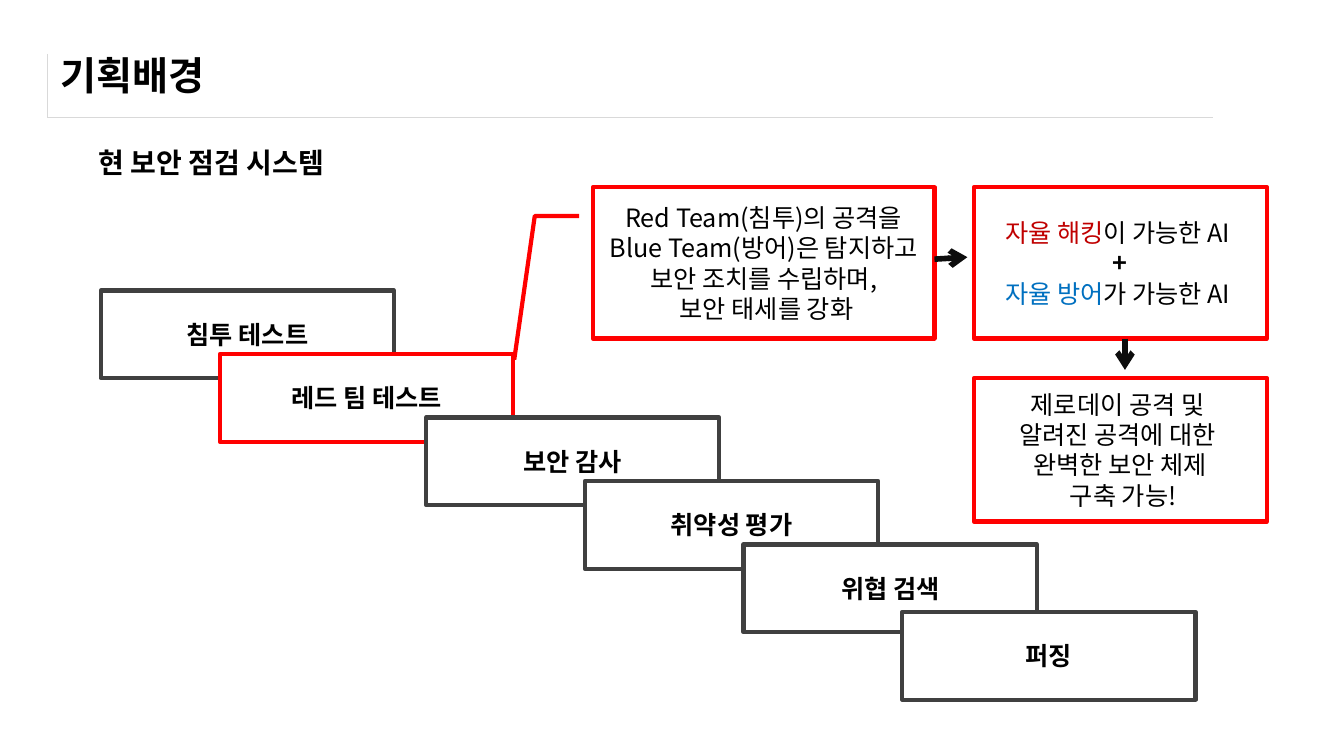
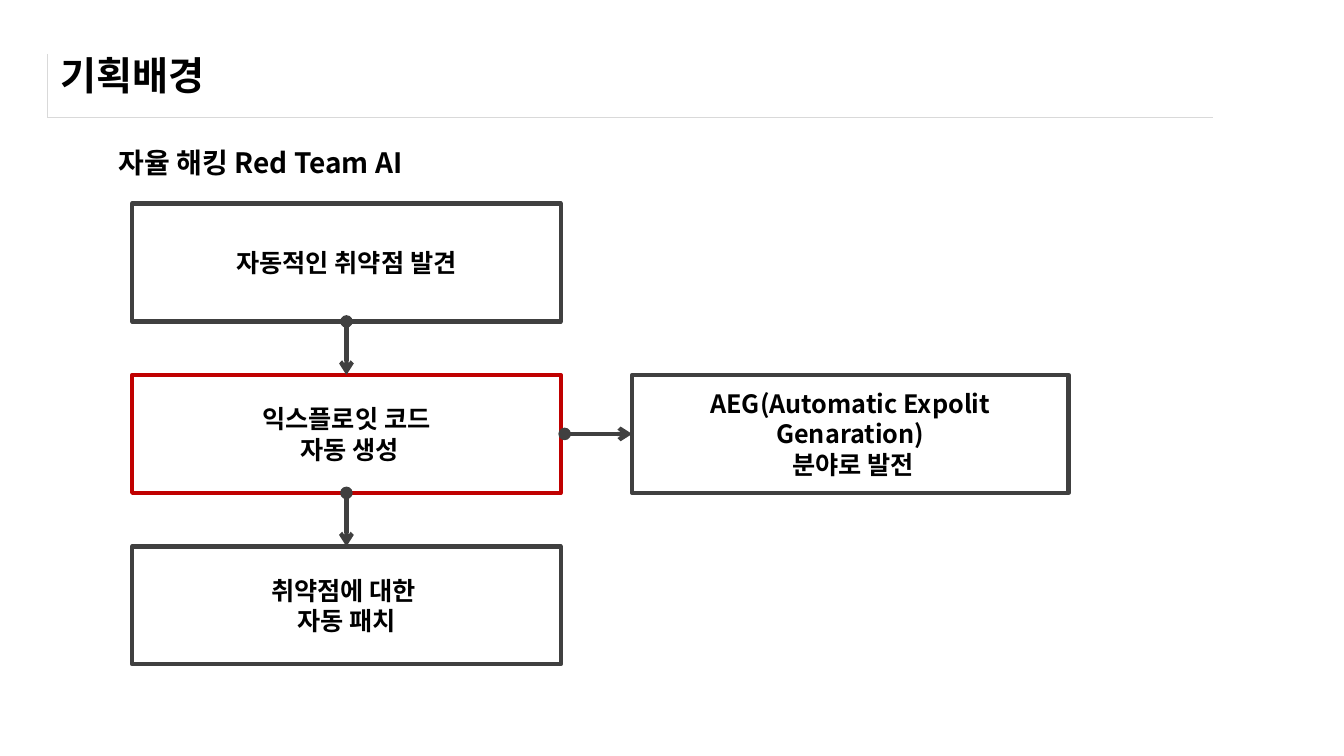
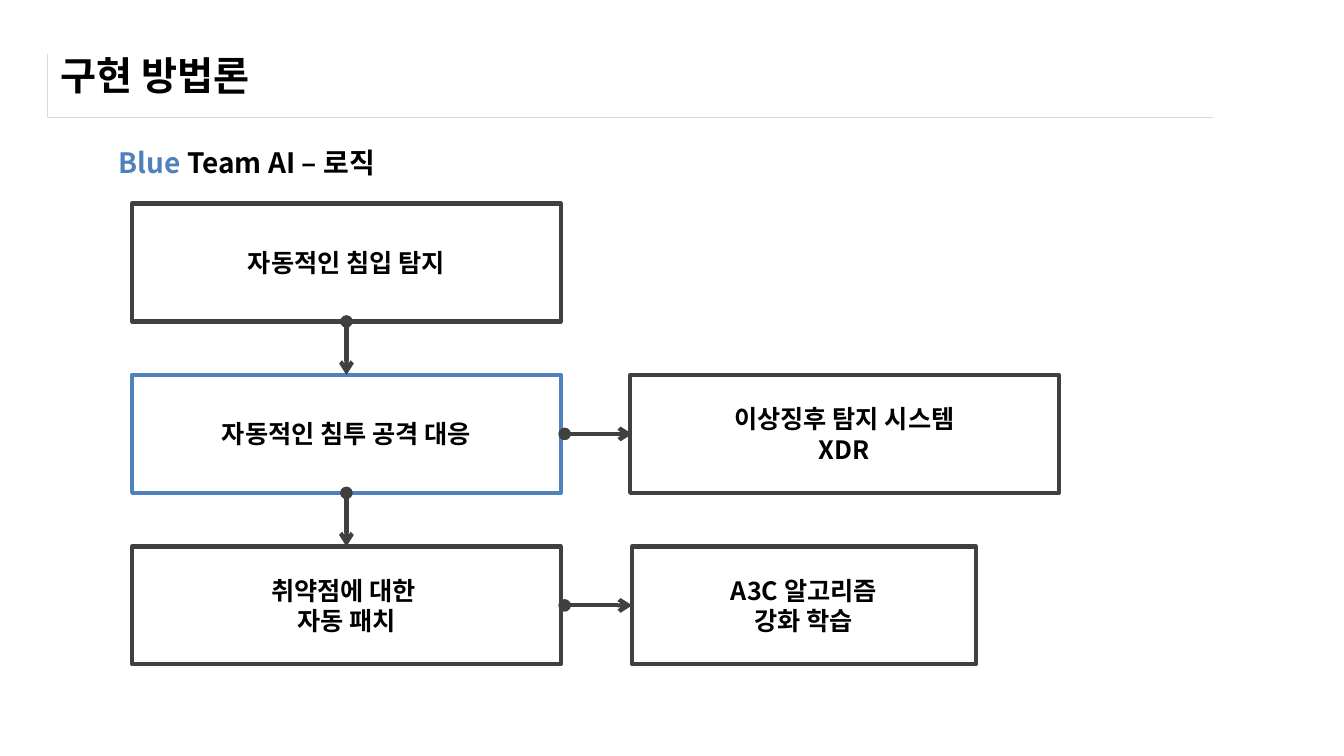
import lxml.etree
import pptx
import pptx.dml.color
import pptx.enum.shapes
import pptx.enum.text
import pptx.oxml.ns
import pptx.util

Cm = pptx.util.Cm
Pt = pptx.util.Pt
RGBColor = pptx.dml.color.RGBColor
qn = pptx.oxml.ns.qn
SHAPES = pptx.enum.shapes.MSO_SHAPE
ALIGN = pptx.enum.text.PP_ALIGN
ANCHOR = pptx.enum.text.MSO_ANCHOR
FIT = pptx.enum.text.MSO_AUTO_SIZE

WHITE = RGBColor(0xFF, 0xFF, 0xFF)
BLACK = RGBColor(0x00, 0x00, 0x00)
INK = RGBColor(0x0D, 0x0D, 0x0D)
GRAY = RGBColor(0x40, 0x40, 0x40)
RULE = RGBColor(0xD9, 0xD9, 0xD9)
RED = RGBColor(0xFF, 0x00, 0x00)
DARK_RED = RGBColor(0xC0, 0x00, 0x00)
BLUE = RGBColor(0x4F, 0x81, 0xBD)
BRIGHT_BLUE = RGBColor(0x00, 0x70, 0xC0)

FONT = "Noto Sans CJK KR"
TITLE = {"size": Pt(28), "bold": True, "name": FONT}
HEADING = {"size": Pt(20), "bold": True, "name": FONT}
LABEL = {"size": Pt(18), "bold": True, "name": FONT}
PROSE = {"size": Pt(18), "bold": False, "name": FONT}
CALLOUT_MARGINS = {"margin_left": Cm(0.4), "margin_right": Cm(0.4),
                   "margin_top": Cm(0), "margin_bottom": Cm(0)}


def apply(target, values):
    """Set every attribute named in values on target."""
    for attribute, value in values.items():
        setattr(target, attribute, value)


def cm_box(box):
    """Turn a row of centimetre numbers into lengths."""
    return [Cm(number) for number in box]


def write(frame, lines, style, align):
    """Fill a text frame; a line is a string or a list of (text, color, bold)."""
    for index, line in enumerate(lines):
        paragraph = frame.paragraphs[0] if index == 0 else frame.add_paragraph()
        paragraph.alignment = align
        pieces = [(line, BLACK, style["bold"])] if isinstance(line, str) else line
        for words, color, bold in pieces:
            run = paragraph.add_run()
            run.text = words
            run.font.color.rgb = color
            apply(run.font, {**style, "bold": bold})
            east_asian = lxml.etree.SubElement(run._r.get_or_add_rPr(), qn("a:ea"))
            east_asian.set("typeface", FONT)


def add_panel(slide, box, lines, outline=GRAY, style=LABEL,
              outline_shape=SHAPES.FLOWCHART_PROCESS):
    """Draw a white outlined panel with centred text."""
    panel = slide.shapes.add_shape(outline_shape, *cm_box(box))
    panel.shadow.inherit = False
    panel.fill.solid()
    panel.fill.fore_color.rgb = WHITE
    panel.line.color.rgb = outline
    panel.line.width = Pt(3)
    apply(panel.text_frame, {"word_wrap": True, "vertical_anchor": ANCHOR.MIDDLE})
    write(panel.text_frame, lines, style, ALIGN.CENTER)
    return panel


def add_arrow(slide, ends, color=GRAY, width=3, head="oval"):
    """Draw an arrow between two points given as x1, y1, x2, y2."""
    arrow = slide.shapes.add_connector(
        pptx.enum.shapes.MSO_CONNECTOR.STRAIGHT, *cm_box(ends))
    arrow.line.color.rgb = color
    arrow.line.width = Pt(width)
    line = arrow.line._get_or_add_ln()
    for tag, kind in (("a:headEnd", head), ("a:tailEnd", "arrow")):
        lxml.etree.SubElement(line, qn(tag)).set("type", kind)
    lxml.etree.SubElement(arrow._element.spPr, qn("a:effectLst"))


def add_title_frame(slide, box):
    """Place the one-cell table whose left and bottom borders frame the title."""
    table = slide.shapes.add_table(1, 1, *cm_box(box)).table
    apply(table, {"first_row": False, "horz_banding": False})
    cell = table.cell(0, 0)
    cell.fill.background()
    properties = cell._tc.get_or_add_tcPr()
    for position, tag in enumerate(("a:lnL", "a:lnB")):
        border = lxml.etree.Element(qn(tag), w=str(Pt(0.25)))
        paint = lxml.etree.SubElement(border, qn("a:solidFill"))
        lxml.etree.SubElement(paint, qn("a:srgbClr")).set("val", str(RULE))
        properties.insert(position, border)


def add_page(deck, title, heading, heading_box):
    """Start a slide with the shared title, title frame and heading."""
    slide = deck.slides.add_slide(deck.slide_layouts[5])
    add_title_frame(slide, (1.19, 1.37, 29.36, 1.57))
    left, top, width, height = cm_box((1.27, 1.04, 31.72, 1.7))
    apply(slide.shapes.title,
          {"left": left, "top": top, "width": width, "height": height})
    frame = slide.shapes.title.text_frame
    apply(frame, {"vertical_anchor": ANCHOR.MIDDLE, "auto_size": FIT.NONE})
    write(frame, [title], TITLE, ALIGN.LEFT)
    caption = slide.shapes.add_textbox(*cm_box(heading_box)).text_frame
    apply(caption, {"word_wrap": False, "auto_size": FIT.SHAPE_TO_FIT_TEXT})
    write(caption, [heading], HEADING, ALIGN.LEFT)
    return slide


def add_staircase(slide, box, steps):
    """Cascade the test names; each step is (x offset, y offset, name, outline)."""
    left, top, width, height = box
    for across, down, name, outline in steps:
        add_panel(slide, (left + across, top + down, width, height), [name], outline)


def add_reasoning(slide, box):
    """Place the red team callout and the two conclusions that follow it."""
    left, top, width, height = box
    goal_left, goal_width = left + 9.6, 7.39
    callout = add_panel(
        slide, box,
        ["Red Team(침투)의 공격을 Blue Team(방어)은 탐지하고 보안 조치를 수립하며,",
         " 보안 태세를 강화"],
        RED, PROSE, SHAPES.LINE_CALLOUT_2)
    apply(callout.text_frame, CALLOUT_MARGINS)
    for index, value in enumerate((0.19, -0.04, 0.19, -0.17, 1.14, -0.23)):
        callout.adjustments[index] = value
    add_panel(
        slide, (goal_left, top, goal_width, height),
        [[("자율 해킹", DARK_RED, False), ("이 가능한 AI ", BLACK, False)],
         [("+", BLACK, True)],
         [("자율 방어", BRIGHT_BLUE, False), ("가 가능한 AI ", BLACK, False)]],
        RED, PROSE)
    add_panel(
        slide, (goal_left, top + 4.81, goal_width, 3.61),
        ["제로데이 공격 및 ", "알려진 공격에 대한 ", "완벽한 보안 체제", " 구축 가능!"],
        RED, PROSE)
    right, bottom, middle = left + width, top + height, goal_left + 3.81
    for ends in ((right, top + 1.81, right + 0.83, top + 1.76),
                 (middle, bottom, middle, bottom + 0.79)):
        add_arrow(slide, ends, INK, 4, "none")


def add_flow(slide, box, stages, pitch=4.32):
    """Stack stages of (lines, outline, side), side being (left gap, width, lines)."""
    left, top, width, height = box
    right, center = left + width, left + width / 2
    for index, (lines, outline, side) in enumerate(stages):
        stage_top = top + index * pitch
        add_panel(slide, (left, stage_top, width, height), lines, outline)
        if side:
            gap, side_width, side_lines = side
            middle = stage_top + height / 2
            add_panel(slide, (right + gap, stage_top, side_width, height), side_lines)
            add_arrow(slide, (right + 0.1, middle, right + 1.8, middle))
    for index in range(len(stages) - 1):
        start = top + index * pitch + height
        add_arrow(slide, (center, start, center, start + pitch - height))


def main():
    """Build and save the deck."""
    deck = pptx.Presentation()
    apply(deck, {"slide_width": Cm(33.87), "slide_height": Cm(19.05)})

    current = add_page(deck, "기획배경", "현 보안 점검 시스템", (2.24, 3.53, 6.91, 1.09))
    add_staircase(current, (2.54, 7.32, 7.39, 2.21), [
        (0, 0, "침투 테스트", GRAY),
        (3, 1.6, "레드 팀 테스트", RED),
        (8.2, 3.2, "보안 감사", GRAY),
        (12.2, 4.8, "취약성 평가", GRAY),
        (16.2, 6.4, "위협 검색", GRAY),
        (20.2, 8.1, "퍼징", GRAY),
    ])
    add_reasoning(current, (14.94, 4.72, 8.61, 3.81))

    flow_box = (3.33, 5.13, 10.8, 2.97)
    patch = ["취약점에 대한 ", "자동 패치"]
    red_team = add_page(deck, "기획배경", "자율 해킹 Red Team AI",
                        (2.74, 3.53, 8.15, 1.12))
    add_flow(red_team, flow_box, [
        (["자동적인 취약점 발견"], GRAY, None),
        (["익스플로잇 코드", " 자동 생성"], DARK_RED,
         (1.8, 11, ["AEG(Automatic Expolit Genaration)", " 분야로 발전"])),
        (patch, GRAY, None),
    ])

    blue_team = add_page(deck, "구현 방법론",
                         [("Blue ", BLUE, True), ("Team AI – 로직", BLACK, True)],
                         (2.74, 3.53, 7.29, 1.12))
    add_flow(blue_team, flow_box, [
        (["자동적인 침입 탐지"], GRAY, None),
        (["자동적인 침투 공격 대응"], BLUE,
         (1.75, 10.8, ["이상징후 탐지 시스템", "XDR"])),
        (patch, GRAY, (1.8, 8.66, ["A3C 알고리즘", "강화 학습"])),
    ])
    deck.save("out.pptx")


if __name__ == "__main__":
    main()
